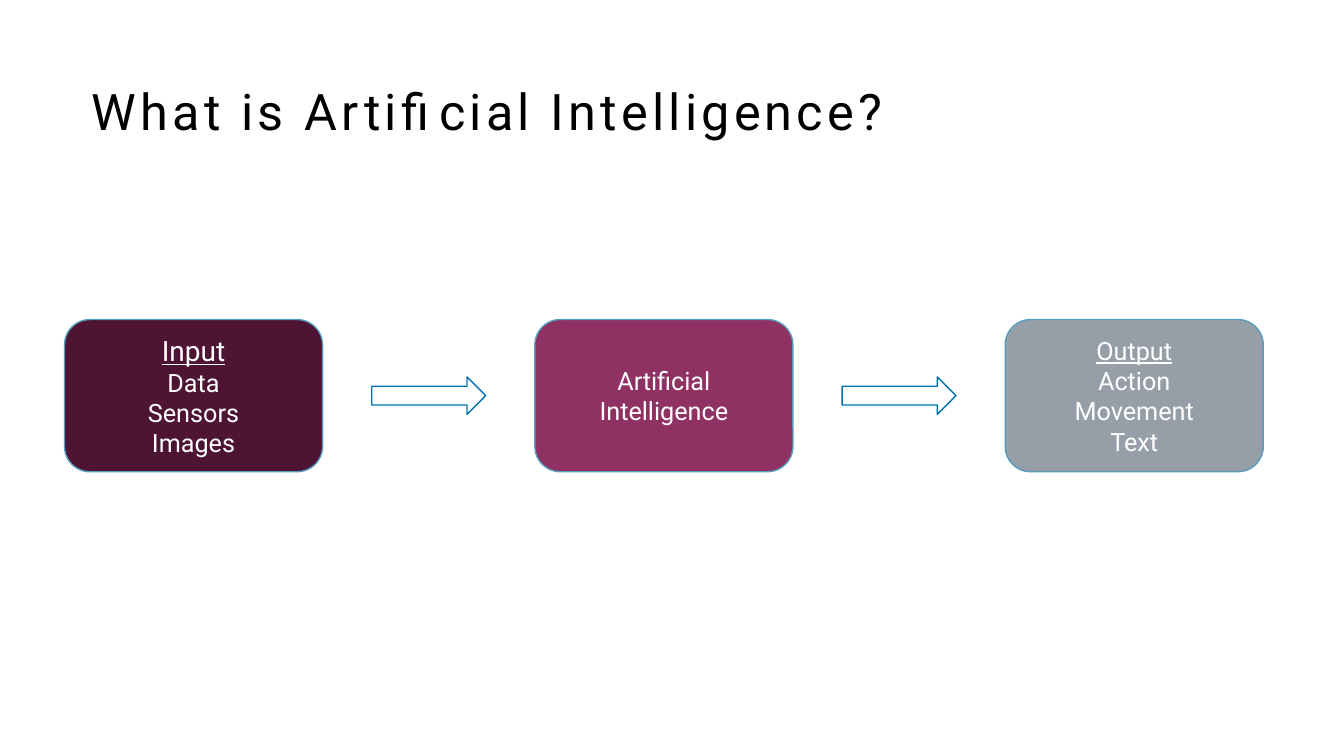
from dataclasses import dataclass
from pptx import Presentation
from pptx.dml.color import RGBColor as RGB
from pptx.enum.shapes import MSO_SHAPE as SHAPE
from pptx.enum.text import MSO_ANCHOR as ANCHOR, PP_ALIGN as ALIGN
from pptx.util import Inches, Pt


@dataclass(frozen=True)
class Theme:
    font: str = "Roboto"
    ink: str = "000000"
    white: str = "FFFFFF"
    edge: str = "579BBD"
    arrow: str = "0074AF"
    plum: str = "4D1434"
    berry: str = "903163"
    gray: str = "969FA7"
    title: int = 36
    head: int = 20
    body: int = 18
    track: int = 300  # letter spacing, hundredths of a point


THEME = Theme()

# Each stage: fill, then lines of (text, size, underlined)
STAGES = [
    (THEME.plum, [("Input", THEME.head, True), ("Data", THEME.body, False),
                  ("Sensors", THEME.body, False), ("Images", THEME.body, False)]),
    (THEME.berry, [("Artificial Intelligence", THEME.body, False)]),
    (THEME.gray, [("Output", THEME.body, True), ("Action", THEME.body, False),
                  ("Movement", THEME.body, False), ("Text", THEME.body, False)]),
]


def place(item, box):
    item.left, item.top, item.width, item.height = map(Inches, box)


def add_run(para, text, size, color):
    run = para.add_run()
    run.text = text
    run.font.name = THEME.font
    run.font.size = Pt(size)
    run.font.color.rgb = RGB.from_string(color)
    return run


def add_block(slide, kind, box, fill, edge):
    block = slide.shapes.add_shape(kind, *map(Inches, box))
    block.shadow.inherit = False
    block.fill.solid()
    block.fill.fore_color.rgb = RGB.from_string(fill)
    block.line.color.rgb = RGB.from_string(edge)
    block.line.width = Pt(1)
    return block


def add_title(slide, box, text):
    title = slide.shapes.title
    place(title, box)
    frame = title.text_frame
    frame.word_wrap = True
    frame.vertical_anchor = ANCHOR.TOP
    para = frame.paragraphs[0]
    para.alignment = ALIGN.LEFT
    run = add_run(para, text, THEME.title, THEME.ink)
    run.font._element.set("spc", str(THEME.track))


def add_stage(slide, box, fill, lines):
    frame = add_block(slide, SHAPE.ROUNDED_RECTANGLE, box, fill, THEME.edge).text_frame
    frame.word_wrap = True
    frame.vertical_anchor = ANCHOR.MIDDLE
    for i, (text, size, under) in enumerate(lines):
        para = frame.add_paragraph() if i else frame.paragraphs[0]
        para.alignment = ALIGN.CENTER
        add_run(para, text, size, THEME.white).font.underline = under


def add_flow(slide, box, stages):
    left, top, width, height = box
    wide, long, thick = 2.56, 1.13, 0.37
    step = (width - wide) / (len(stages) - 1)
    # Stages, evenly spread across the box
    for i, (fill, lines) in enumerate(stages):
        add_stage(slide, (left + i * step, top, wide, height), fill, lines)
    # Arrows, centred in the gaps
    inset = wide + (step - wide - long) / 2
    for i in range(len(stages) - 1):
        spot = (left + i * step + inset, top + (height - thick) / 2, long, thick)
        add_block(slide, SHAPE.RIGHT_ARROW, spot, THEME.white, THEME.arrow)


def main():
    deck = Presentation()
    deck.slide_width, deck.slide_height = Inches(13.33), Inches(7.5)
    slide = deck.slides.add_slide(deck.slide_layouts[5])
    add_title(slide, (0.81, 0.74, 11.21, 0.71), "What is Artificial Intelligence?")
    add_flow(slide, (0.64, 3.17, 11.89, 1.51), STAGES)
    deck.save("out.pptx")


if __name__ == "__main__":
    main()
